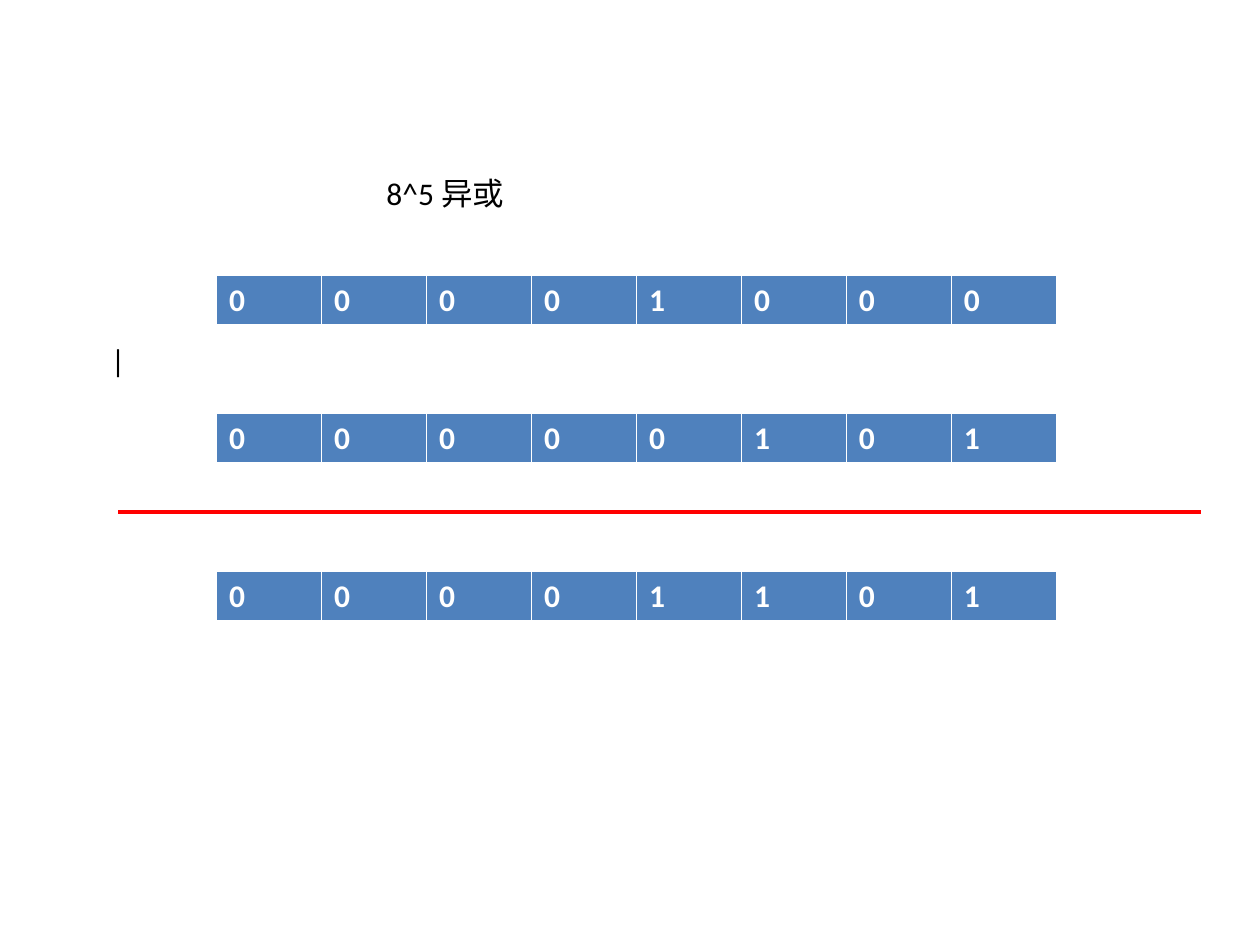
from pptx import Presentation
from pptx.dml.color import RGBColor
from pptx.enum.shapes import MSO_CONNECTOR
from pptx.enum.text import MSO_AUTO_SIZE
from pptx.oxml.ns import qn
from pptx.util import Pt
from lxml import etree

STRAIGHT = MSO_CONNECTOR.STRAIGHT
GROW = MSO_AUTO_SIZE.SHAPE_TO_FIT_TEXT

# Content: bits with the top of each row, and labels with their boxes
BIT_ROWS = [("00001000", 157.5), ("00000101", 236.25), ("00001101", 326.25)]
LABELS = [("|", 56.25, 191.25, 39.4, 29.1), ("8^5 异或", 213.75, 95.6, 151.9, 29.1)]
COLORS = {"cell": "4F81BD", "white": "FFFFFF", "rule": "FF0000", "text": "000000"}
BORDERS = {"lnL": 1, "lnR": 1, "lnT": 1, "lnB": 3}

TABLE_LEFT, COL_WIDTH, ROW_HEIGHT = 123.75, 60, 29.2
RULE_LEFT, RULE_RIGHT, RULE_Y = 67.5, 686.25, 292.5


def rgb(name):
    return RGBColor.from_string(COLORS[name])


def write(tf, text, color, bold=False):
    r = tf.paragraphs[0].add_run()
    r.text = text
    style = {"name": "Calibri", "size": Pt(18), "bold": bold}
    for key, value in style.items():
        setattr(r.font, key, value)
    r.font.color.rgb = rgb(color)


def add_borders(cell):
    tcPr = cell._tc.get_or_add_tcPr()
    for tag, width in BORDERS.items():
        ln = etree.SubElement(tcPr, qn("a:" + tag), w=str(Pt(width)))
        fill = etree.SubElement(ln, qn("a:solidFill"))
        etree.SubElement(fill, qn("a:srgbClr"), val=COLORS["white"])


def add_bits(s, bits, top):
    table = s.shapes.add_table(1, len(bits), Pt(TABLE_LEFT), Pt(top),
                               Pt(COL_WIDTH * len(bits)), Pt(ROW_HEIGHT)).table
    for cell, bit in zip(table.iter_cells(), bits):
        add_borders(cell)
        cell.fill.solid()
        cell.fill.fore_color.rgb = rgb("cell")
        write(cell.text_frame, bit, "white", bold=True)


prs = Presentation()
prs.slide_width, prs.slide_height = Pt(720), Pt(540)
s = prs.slides.add_slide(prs.slide_layouts[6])

# Operands and result
for bits, top in BIT_ROWS:
    add_bits(s, bits, top)

# Rule above the result
rule = s.shapes.add_connector(STRAIGHT, Pt(RULE_LEFT), Pt(RULE_Y),
                              Pt(RULE_RIGHT), Pt(RULE_Y))
rule.line.color.rgb = rgb("rule")
rule.line.width = Pt(2.25)
etree.SubElement(rule._element.spPr, qn("a:effectLst"))

# Operator and heading
for text, *box in LABELS:
    tf = s.shapes.add_textbox(*map(Pt, box)).text_frame
    tf.word_wrap = True
    tf.auto_size = GROW
    write(tf, text, "text")

prs.save("out.pptx")
